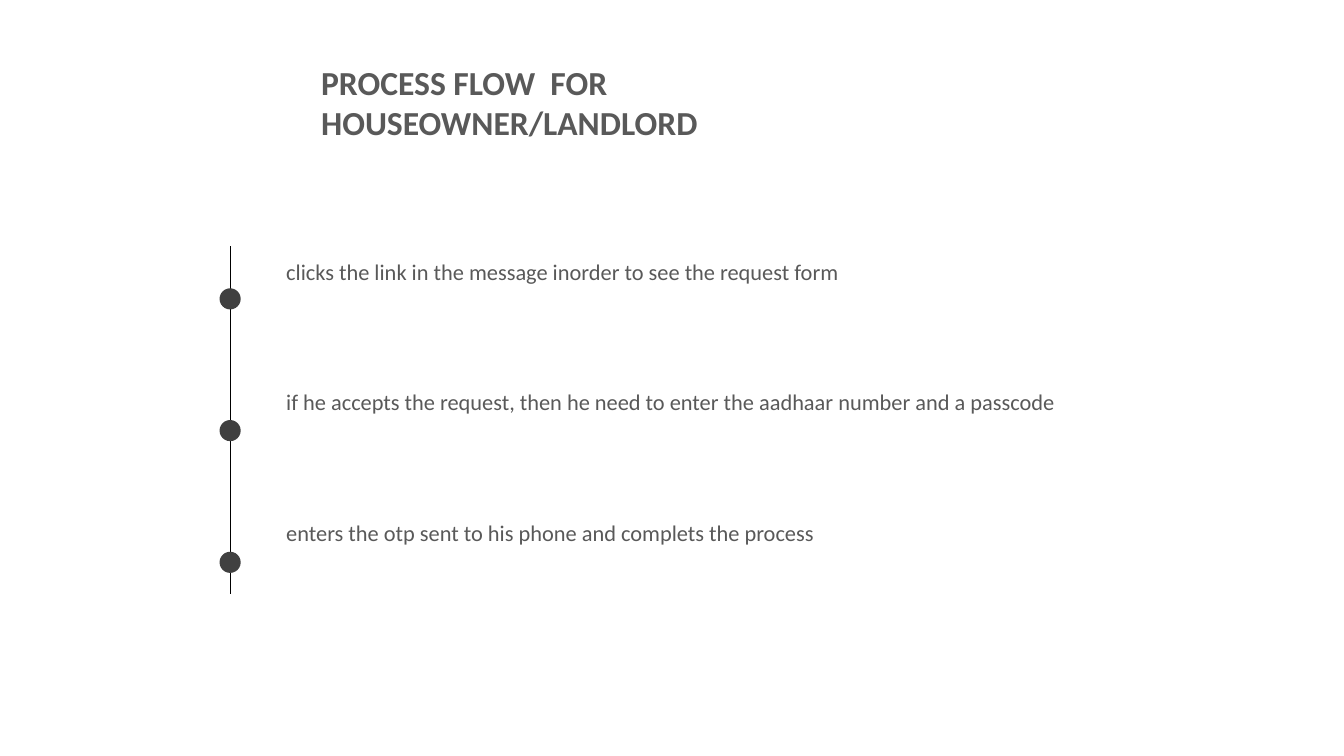
import pptx
import pptx.util
import pptx.dml.color
import pptx.enum.shapes
import pptx.enum.text
import lxml.etree
from pptx.util import Cm

BLACK = pptx.dml.color.RGBColor(0x00, 0x00, 0x00)
DOT_GRAY = pptx.dml.color.RGBColor(0x40, 0x40, 0x40)
TEXT_GRAY = pptx.dml.color.RGBColor(0x59, 0x59, 0x59)

deck = pptx.Presentation()
deck.slide_width, deck.slide_height = Cm(25.4), Cm(14.29)
slide = deck.slides.add_slide(deck.slide_layouts[6])


def add_text(text, left, top, width, height, size=12, bold=False):
    frame = slide.shapes.add_textbox(Cm(left), Cm(top), Cm(width), Cm(height)).text_frame
    frame.word_wrap = True
    frame.vertical_anchor = pptx.enum.text.MSO_ANCHOR.TOP
    paragraph = frame.paragraphs[0]
    paragraph.text = text
    for run in paragraph.runs:
        run.font.name = "Calibri"
        run.font.size = pptx.util.Pt(size)
        run.font.bold = bold
        run.font.color.rgb = TEXT_GRAY


# Timeline
axis_x = 4.35
timeline = slide.shapes.add_connector(
    pptx.enum.shapes.MSO_CONNECTOR.STRAIGHT, Cm(axis_x), Cm(4.65), Cm(axis_x), Cm(11.23))
timeline.line.color.rgb = BLACK
timeline.line.width = pptx.util.Pt(0.5)
lxml.etree.SubElement(timeline._element.spPr, pptx.oxml.ns.qn("a:effectLst"))

# Steps: a dot on the timeline and its description
steps = [
    "clicks the link in the message inorder to see the request form",
    "if he accepts the request, then he need to enter the aadhaar number and a passcode",
    "enters the otp sent to his phone and complets the process",
]
dot_pitch = 2.49
text_pitch = 2.47
dot_size = 0.4
for index, step in enumerate(steps):
    dot = slide.shapes.add_shape(
        pptx.enum.shapes.MSO_SHAPE.OVAL,
        Cm(axis_x - dot_size / 2), Cm(5.45 + index * dot_pitch), Cm(dot_size), Cm(dot_size))
    dot.shadow.inherit = False
    dot.fill.solid()
    dot.fill.fore_color.rgb = DOT_GRAY
    dot.line.fill.background()
    add_text(step, 5.16, 4.75 + index * text_pitch, 17.45, 1.8)

# Title
add_text("PROCESS FLOW  FOR\vHOUSEOWNER/LANDLORD", 5.82, 1.04, 13.3, 1.02,
         size=18, bold=True)

deck.save("out.pptx")
